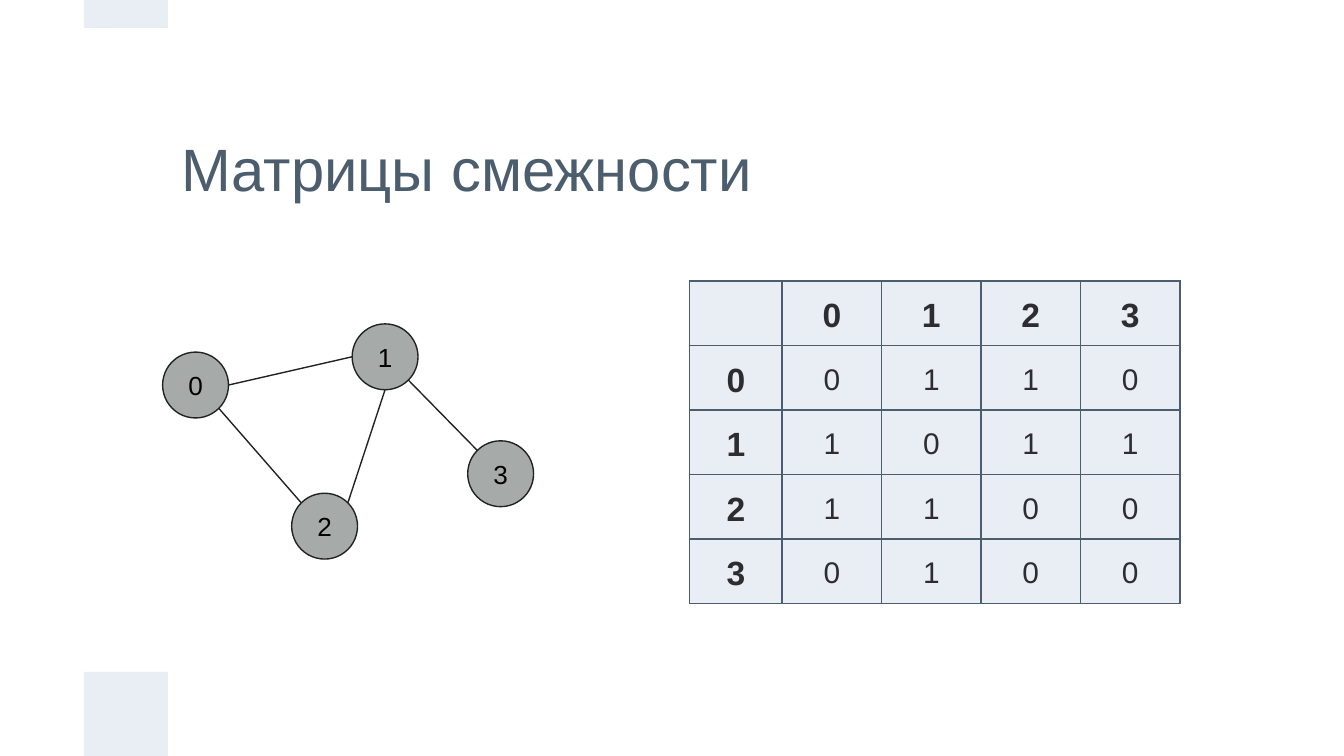
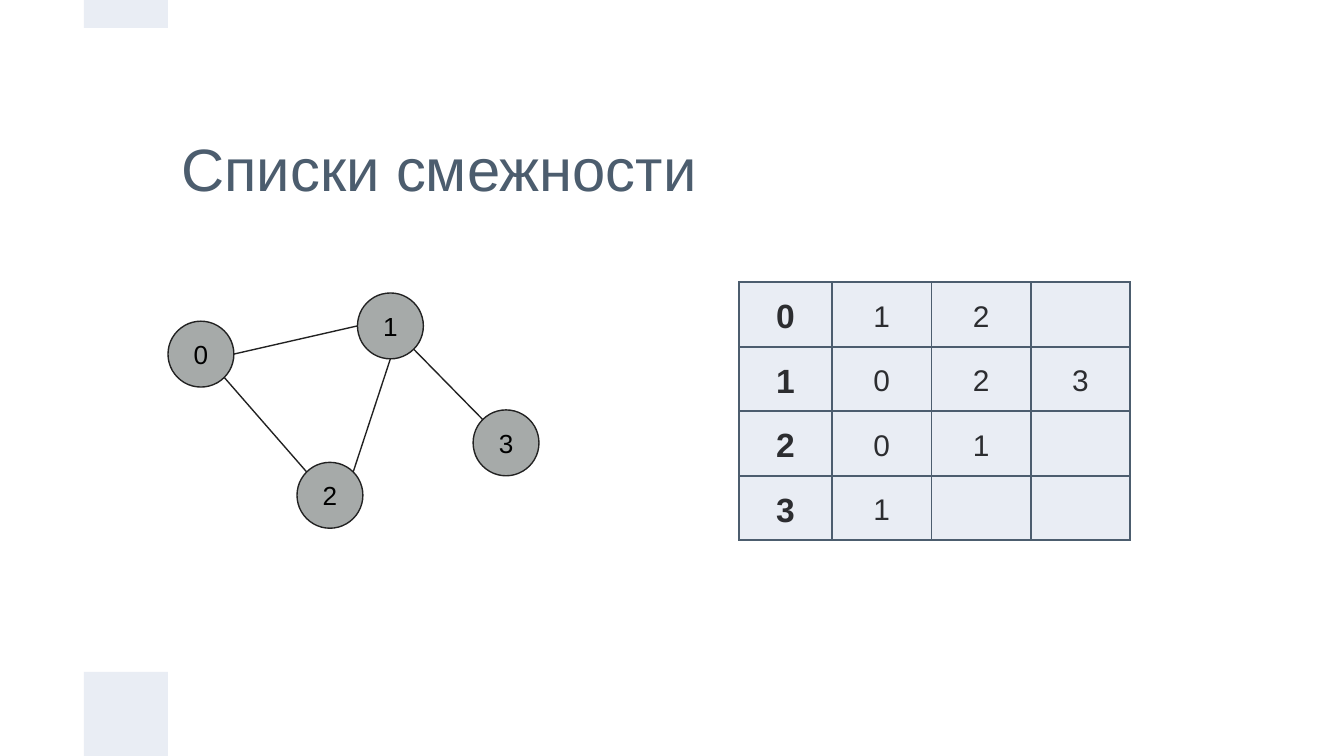
from dataclasses import dataclass
from math import cos, radians, sin

from lxml.etree import SubElement
from pptx import Presentation
from pptx.dml.color import RGBColor as Color
from pptx.enum.shapes import MSO_CONNECTOR as Connector, MSO_SHAPE as Shape
from pptx.enum.text import MSO_ANCHOR as Anchor, MSO_AUTO_SIZE as AutoSize, PP_ALIGN as Align
from pptx.oxml.ns import qn
from pptx.util import Inches, Pt


@dataclass(frozen=True)
class Theme:
    font: str = "Arial"
    heading: str = "4C5D6E"
    pale: str = "E9EDF4"
    cell_text: str = "2C2D30"
    node: str = "A6AAA9"
    outline: str = "222222"
    node_text: str = "000000"
    title_size: float = 32
    label_size: float = 18
    value_size: float = 16
    node_size: float = 14
    line_width: float = 0.75
    border_width: float = 1


THEME = Theme()
TITLE_ONLY = 5
SLIDE_WIDTH = Inches(10)
MODULE = SLIDE_WIDTH // 16  # the slide is 16 by 9 modules
SLIDE_HEIGHT = MODULE * 9
NODE_DIAMETER = 0.49

# Node corners relative to the graph box
NODES = {"0": (0, 0.21), "2": (0.96, 1.26), "1": (1.41, 0), "3": (2.27, 0.87)}

# Start node, angle on its rim, end node, angle on its rim (clockwise from the right)
EDGES = [
    ("0", 45, "2", 225),
    ("0", 0, "1", 180),
    ("1", 45, "3", 225),
    ("1", 90, "2", 315),
]

MATRIX = [
    ["", "0", "1", "2", "3"],
    ["0", "0", "1", "1", "0"],
    ["1", "1", "0", "1", "1"],
    ["2", "1", "1", "0", "0"],
    ["3", "0", "1", "0", "0"],
]
LISTS = [
    ["0", "1", "2", ""],
    ["1", "0", "2", "3"],
    ["2", "0", "1", ""],
    ["3", "1", "", ""],
]


def set_fill(target, color):
    target.fill.solid()
    target.fill.fore_color.rgb = Color.from_string(color)


def set_line(line):
    line.color.rgb = Color.from_string(THEME.outline)
    line.width = Pt(THEME.line_width)


def write(frame, text, size, color, align=Align.CENTER, bold=False):
    paragraph = frame.paragraphs[0]
    paragraph.alignment = align
    run = paragraph.add_run()
    run.text = text
    run.font.name = THEME.font
    run.font.size = Pt(size)
    run.font.bold = bold
    run.font.color.rgb = Color.from_string(color)
    return paragraph


def set_insets(frame, inset):
    frame.margin_left = frame.margin_right = Inches(inset)
    frame.margin_top = frame.margin_bottom = Inches(inset)
    frame.vertical_anchor = Anchor.MIDDLE


def add_bands(slide):
    """Draw the two bands and move them to the layout that the slides share."""
    layout = slide.slide_layout
    for placeholder in list(layout.placeholders)[1:]:
        layout.shapes.element.remove(placeholder.element)
    for top, height in ((SLIDE_HEIGHT - MODULE, MODULE), (0, MODULE // 3)):
        band = slide.shapes.add_shape(Shape.RECTANGLE, MODULE, top, MODULE, height)
        band.shadow.inherit = False
        set_fill(band, THEME.pale)
        band.line.fill.background()
        layout.shapes.element.append(band.element)


def add_title(slide, text, left, top, width, height):
    title = slide.shapes.title
    title.left, title.top = Inches(left), Inches(top)
    title.width, title.height = Inches(width), Inches(height)
    frame = title.text_frame
    frame.auto_size = AutoSize.NONE
    frame.word_wrap = True
    set_insets(frame, 0.1)
    write(frame, text, THEME.title_size, THEME.heading, Align.LEFT)


def rim_point(node, angle, left, top):
    radius = NODE_DIAMETER / 2
    x, y = NODES[node]
    return (Inches(left + x + radius * (1 + cos(radians(angle)))),
            Inches(top + y + radius * (1 + sin(radians(angle)))))


def add_graph(slide, left, top):
    # Nodes
    for name, (x, y) in NODES.items():
        node = slide.shapes.add_shape(
            Shape.OVAL, Inches(left + x), Inches(top + y),
            Inches(NODE_DIAMETER), Inches(NODE_DIAMETER))
        node.shadow.inherit = False
        set_fill(node, THEME.node)
        set_line(node.line)
        set_insets(node.text_frame, 0.1)
        write(node.text_frame, name, THEME.node_size, THEME.node_text)

    # Edges
    for start, start_angle, end, end_angle in EDGES:
        edge = slide.shapes.add_connector(
            Connector.STRAIGHT, *rim_point(start, start_angle, left, top),
            *rim_point(end, end_angle, left, top))
        set_line(edge.line)
        SubElement(edge.element.spPr, qn("a:effectLst"))


def add_borders(cell):
    properties = cell._tc.get_or_add_tcPr()
    for side in ("L", "R", "T", "B"):
        border = SubElement(properties, qn(f"a:ln{side}"), w=str(Pt(THEME.border_width)))
        fill = SubElement(border, qn("a:solidFill"))
        SubElement(fill, qn("a:srgbClr"), val=THEME.heading)


def add_grid(slide, rows, left, top, has_header):
    row_height = 0.48
    widths = [0.69] + [0.74] * (len(rows[0]) - 1)
    table = slide.shapes.add_table(
        len(rows), len(widths), Inches(left), Inches(top),
        Inches(sum(widths)), Inches(row_height * len(rows))).table
    table.first_row = table.horz_banding = False
    for column, width in zip(table.columns, widths):
        column.width = Inches(width)

    for row_index, values in enumerate(rows):
        table.rows[row_index].height = Inches(row_height)
        for column_index, value in enumerate(values):
            cell = table.cell(row_index, column_index)
            add_borders(cell)
            set_fill(cell, THEME.pale)
            cell.margin_left = cell.margin_right = Inches(0.07)
            cell.margin_top = cell.margin_bottom = 0
            cell.vertical_anchor = Anchor.MIDDLE
            if value:
                label = column_index == 0 or (has_header and row_index == 0)
                size = THEME.label_size if label else THEME.value_size
                paragraph = write(cell.text_frame, value, size, THEME.cell_text, bold=label)
                paragraph.line_spacing = 1.15


def add_graph_slide(presentation, title, graph_at, rows, table_at, has_header=False):
    slide = presentation.slides.add_slide(presentation.slide_layouts[TITLE_ONLY])
    add_title(slide, title, 1.25, 0.62, 7.5, 1.25)
    add_grid(slide, rows, *table_at, has_header)
    add_graph(slide, *graph_at)
    return slide


def main():
    presentation = Presentation()
    presentation.slide_width = SLIDE_WIDTH
    presentation.slide_height = SLIDE_HEIGHT

    # Adjacency matrix
    matrix_slide = add_graph_slide(
        presentation, "Матрицы смежности", (1.21, 2.41), MATRIX, (5.13, 2.09), has_header=True)
    add_bands(matrix_slide)

    # Adjacency lists
    add_graph_slide(presentation, "Списки смежности", (1.25, 2.18), LISTS, (5.5, 2.1))

    presentation.save("out.pptx")


if __name__ == "__main__":
    main()
